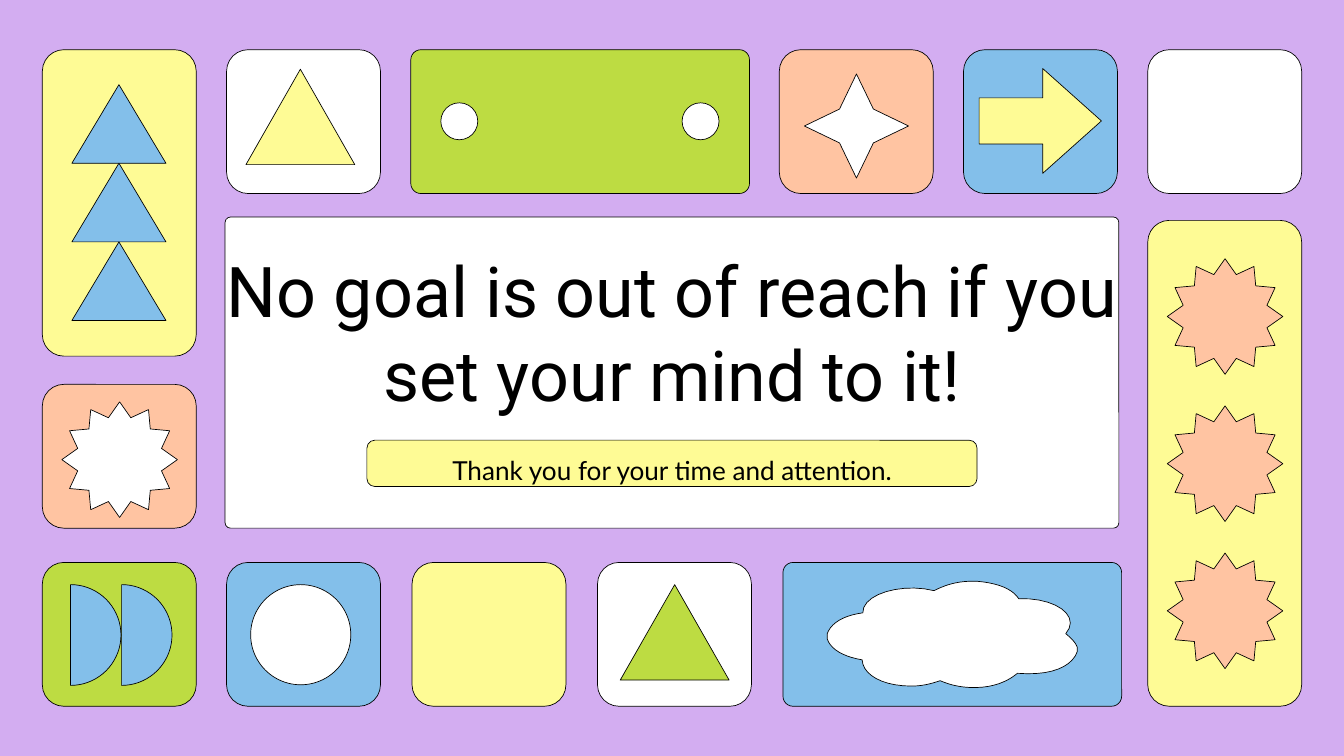
import math
from dataclasses import dataclass
from typing import Optional

import pptx
import pptx.dml.color
import pptx.enum.shapes
import pptx.enum.text
import pptx.util

Inches = pptx.util.Inches
MSO = pptx.enum.shapes.MSO_SHAPE

COLORS = {
    "lilac": "D3ADF1", "yellow": "FEFB95", "green": "BDDC42", "peach": "FFC4A2",
    "blue": "83BFEA", "white": "FFFFFF", "black": "000000",
}

# Card grid
CARD_W, CARD_H, WIDE_W = 2.29, 2.14, 5.04
TOP, BOTTOM = 0.74, 8.37
LEFT, RIGHT = 0.63, 17.08
COLS = [LEFT + i * (RIGHT - LEFT) / 6 for i in range(7)]
BOTTOM_COLS = [COLS[1] + i * 2.76 for i in range(4)]


@dataclass
class Card:
    x: float
    y: float
    color: str
    w: float = CARD_W
    h: float = CARD_H
    radius: float = 0.32


@dataclass
class Ornament:
    kind: MSO
    x: float
    y: float
    w: float
    h: float
    color: str
    adjustments: tuple[float, ...] = ()


@dataclass
class Label:
    text: str
    card: Card
    size: float
    font: str
    inset: float = 0
    bottom_inset: float = 0
    line_spacing: Optional[float] = None


TITLE_CARD = Card(3.35, 3.23, "white", 13.3, 4.63, 0.08)
THANKS_CARD = Card(5.46, 6.55, "yellow", 9.08, 0.69, 0.12)

CARDS = [
    # Top row
    Card(COLS[0], TOP, "yellow", h=4.56),
    Card(COLS[1], TOP, "white"),
    Card(COLS[2], TOP, "green", WIDE_W, radius=0.15),
    Card(COLS[4], TOP, "peach"),
    Card(COLS[5], TOP, "blue"),
    Card(COLS[6], TOP, "white"),
    # Sides
    Card(RIGHT, 3.28, "yellow", h=7.23),
    Card(LEFT, 5.72, "peach"),
    # Bottom row
    Card(LEFT, BOTTOM, "green"),
    Card(BOTTOM_COLS[0], BOTTOM, "blue"),
    Card(BOTTOM_COLS[1], BOTTOM, "yellow"),
    Card(BOTTOM_COLS[2], BOTTOM, "white"),
    Card(BOTTOM_COLS[3], BOTTOM, "blue", WIDE_W, radius=0.15),
]

ORNAMENTS = [
    *[Ornament(MSO.ISOSCELES_TRIANGLE, 1.07, 1.26 + i * 1.17, 1.4, 1.17, "blue")
      for i in range(3)],
    Ornament(MSO.ISOSCELES_TRIANGLE, 3.66, 1.03, 1.62, 1.42, "yellow"),
    Ornament(MSO.ISOSCELES_TRIANGLE, 9.23, 8.7, 1.62, 1.42, "green"),
    *[Ornament(MSO.OVAL, x, 1.53, 0.55, 0.55, "white") for x in (6.56, 10.15)],
    Ornament(MSO.OVAL, 3.73, 8.7, 1.49, 1.49, "white"),
    Ornament(MSO.STAR_4_POINT, 11.97, 1.1, 1.55, 1.55, "white", (0.23,)),
    Ornament(MSO.RIGHT_ARROW, 14.57, 1.02, 1.82, 1.56, "yellow", (0.44, 0.56)),
    Ornament(MSO.STAR_12_POINT, 0.92, 5.98, 1.72, 1.72, "white", (0.375,)),
    *[Ornament(MSO.STAR_12_POINT, 17.37, 3.85 + i * 2.19, 1.72, 1.72, "peach", (0.375,))
      for i in range(3)],
]

# Cloud outline: a start point, then Bezier curves (two controls and an end)
CLOUD_START = (14.42, 8.65)
CLOUD_CURVES = [
    ((14.46, 8.65), (14.5, 8.65), (14.54, 8.65)),
    ((14.87, 8.68), (15.07, 8.77), (15.16, 8.91)),
    ((15.7, 8.89), (16.09, 9.16), (15.86, 9.43)),
    ((15.93, 9.49), (16, 9.55), (16.03, 9.63)),
    ((16.03, 9.66), (16.03, 9.68), (16.03, 9.7)),
    ((15.95, 9.92), (15.65, 10.06), (15.14, 10.02)),
    ((15.01, 10.13), (14.78, 10.25), (14.42, 10.23)),
    ((14.24, 10.22), (14.11, 10.18), (13.99, 10.13)),
    ((13.87, 10.17), (13.74, 10.21), (13.56, 10.21)),
    ((13.13, 10.21), (12.84, 10.04), (12.83, 9.82)),
    ((12.55, 9.77), (12.37, 9.67), (12.31, 9.51)),
    ((12.31, 9.48), (12.31, 9.46), (12.31, 9.43)),
    ((12.37, 9.27), (12.55, 9.16), (12.84, 9.12)),
    ((12.83, 8.84), (13.42, 8.67), (13.9, 8.79)),
    ((14.02, 8.73), (14.18, 8.66), CLOUD_START),
]

Point = tuple[float, float]


def rgb(name: str) -> pptx.dml.color.RGBColor:
    return pptx.dml.color.RGBColor.from_string(COLORS[name])


def paint(sp, color: str) -> None:
    sp.shadow.inherit = False
    sp.fill.solid()
    sp.fill.fore_color.rgb = rgb(color)
    sp.line.color.rgb = rgb("black")
    sp.line.width = pptx.util.Pt(0.75)


def add_ornament(s, o: Ornament) -> None:
    sp = s.shapes.add_shape(o.kind, Inches(o.x), Inches(o.y), Inches(o.w), Inches(o.h))
    for i, value in enumerate(o.adjustments):
        sp.adjustments[i] = value
    paint(sp, o.color)


def add_card(s, c: Card) -> None:
    rounding = c.radius / min(c.w, c.h)
    add_ornament(s, Ornament(MSO.ROUNDED_RECTANGLE, c.x, c.y, c.w, c.h, c.color, (rounding,)))


def add_outline(s, points: list[Point], color: str) -> None:
    start, *rest = [(Inches(x), Inches(y)) for x, y in points]
    fb = s.shapes.build_freeform(*start)
    fb.add_line_segments(rest, close=True)
    paint(fb.convert_to_shape(), color)


def curve_points(start: Point, curves: list, steps: int = 10) -> list[Point]:
    points = [start]
    for a, b, end in curves:
        p0 = points[-1]
        for t in (i / steps for i in range(1, steps + 1)):
            u = 1 - t
            points.append(tuple(
                u**3 * p0[k] + 3 * u * u * t * a[k] + 3 * u * t * t * b[k] + t**3 * end[k]
                for k in (0, 1)))
    return points


def half_disc_points(x: float, cy: float, r: float, steps: int = 36) -> list[Point]:
    angles = [math.pi * (i / steps - 0.5) for i in range(steps + 1)]
    return [(x + r * math.cos(a), cy + r * math.sin(a)) for a in angles]


def add_label(s, label: Label) -> None:
    c = label.card
    tf = s.shapes.add_textbox(Inches(c.x), Inches(c.y), Inches(c.w), Inches(c.h)).text_frame
    tf.word_wrap = True
    tf.vertical_anchor = pptx.enum.text.MSO_ANCHOR.MIDDLE
    tf.margin_left = tf.margin_right = tf.margin_top = Inches(label.inset)
    tf.margin_bottom = Inches(label.inset + label.bottom_inset)
    p = tf.paragraphs[0]
    p.alignment = pptx.enum.text.PP_ALIGN.CENTER
    p.line_spacing = label.line_spacing
    r = p.add_run()
    r.text = label.text
    r.font.size = pptx.util.Pt(label.size)
    r.font.name = label.font
    r.font.color.rgb = rgb("black")


def main() -> None:
    prs = pptx.Presentation()
    prs.slide_width, prs.slide_height = Inches(20), Inches(11.25)
    s = prs.slides.add_slide(prs.slide_layouts[6])
    s.background.fill.solid()
    s.background.fill.fore_color.rgb = rgb("lilac")

    # Message
    add_card(s, TITLE_CARD)
    add_label(s, Label("No goal is out of reach if you set your mind to it!",
                       TITLE_CARD, 75, "Roboto", bottom_inset=1.22))
    add_card(s, THANKS_CARD)
    add_label(s, Label("Thank you for your time and attention.",
                       THANKS_CARD, 28, "Lato", inset=0.06, line_spacing=1.4))

    # Frame of cards and their ornaments
    for card in CARDS:
        add_card(s, card)
    for ornament in ORNAMENTS:
        add_ornament(s, ornament)
    add_outline(s, curve_points(CLOUD_START, CLOUD_CURVES), "white")
    for x in (1.81, 1.05):
        add_outline(s, half_disc_points(x, 9.45, 0.75), "blue")

    prs.save("out.pptx")


if __name__ == "__main__":
    main()
